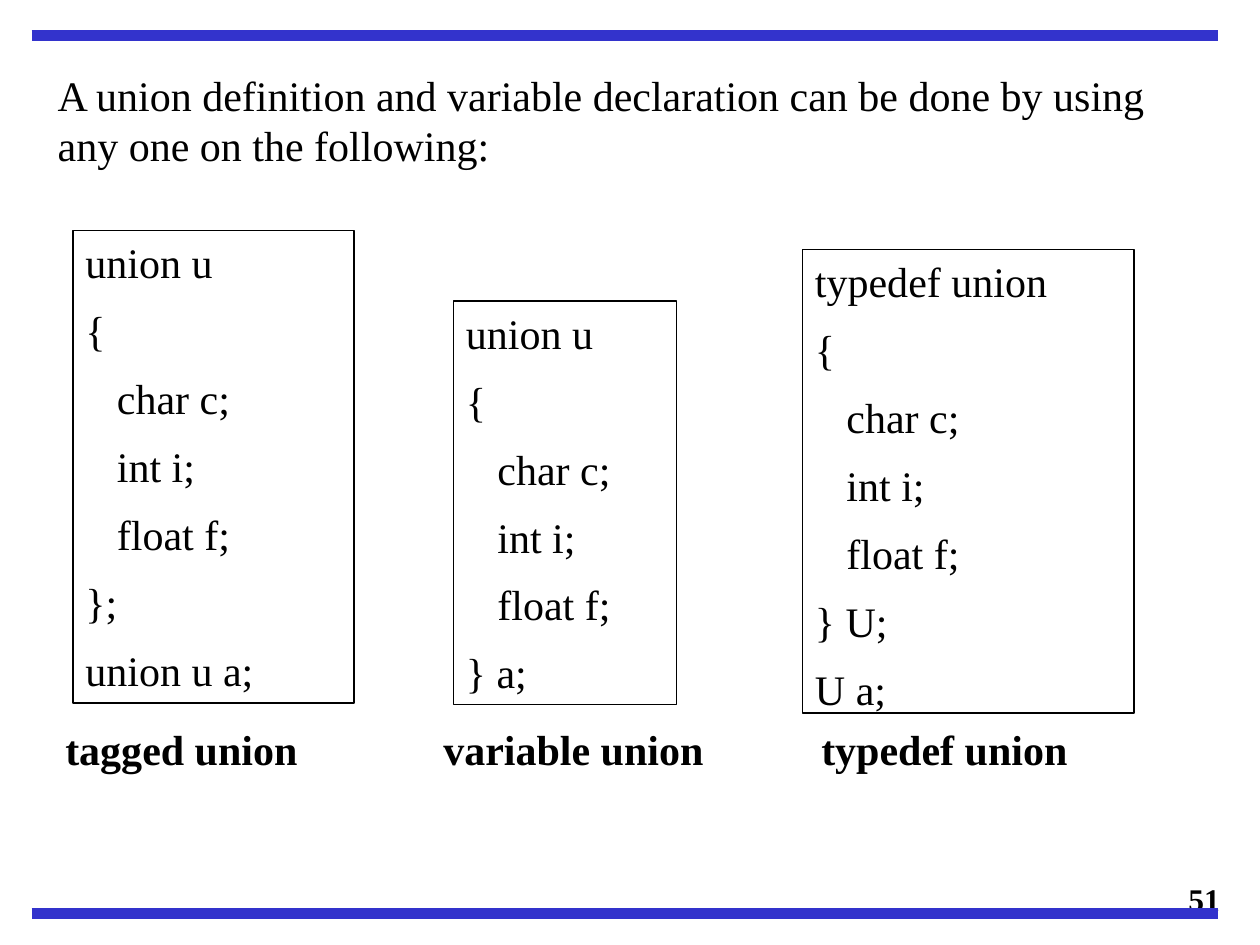
from lxml import etree
from pptx import Presentation
from pptx.dml.color import RGBColor
from pptx.enum.shapes import MSO_CONNECTOR, MSO_SHAPE
from pptx.enum.text import MSO_ANCHOR, MSO_AUTO_SIZE, PP_ALIGN
from pptx.oxml.ns import qn
from pptx.util import Inches, Pt

COLORS = {"text": "000000", "box": "FFFFFF", "bar": "3333CC"}
FONT = "Times New Roman"
INTRO = ["A union definition and variable declaration can be done by using",
         "any one on the following:"]
MEMBERS = ["char c;", "int i;", "float f;"]
DEFINITIONS = [
    ((0.58, 1.83, 2.23, 3.75), "union u", ["};", "union u a;"]),
    ((3.6, 2.39, 1.77, 3.2), "union u", ["} a;"]),
    ((6.37, 1.98, 2.63, 3.68), "typedef union", ["} U;", "U a;"]),
]
CAPTIONS = "tagged union\t\tvariable union\ttypedef union"
RULES = [
    ((0.42, 0.5, 0.42, 0.5), "text", 0.75),
    ((0.25, 7.25, 9.67, 7.25), "bar", 6),
    ((0.25, 0.28, 9.67, 0.28), "bar", 6),
]


def color(name):
    """Return the named colour."""
    return RGBColor.from_string(COLORS[name])


def write(frame, lines, size=24, bold=False, align=PP_ALIGN.LEFT, after=0):
    """Fill a text frame with uniformly formatted paragraphs."""
    frame.word_wrap = True
    frame.text = "\n".join(lines)
    for paragraph in frame.paragraphs:
        paragraph.alignment = align
        paragraph.space_after = Pt(after)
        paragraph.font.name = FONT
        paragraph.font.size = Pt(size)
        paragraph.font.bold = bold
        paragraph.font.color.rgb = color("text")


def add_text(slide, place, lines, **style):
    """Add a text box and return its frame."""
    frame = slide.shapes.add_textbox(*map(Inches, place)).text_frame
    write(frame, lines, **style)
    return frame


def add_rule(slide, ends, color_name, width):
    """Add a straight line without a shadow."""
    rule = slide.shapes.add_connector(MSO_CONNECTOR.STRAIGHT, *map(Inches, ends))
    rule.line.color.rgb = color(color_name)
    rule.line.width = Pt(width)
    etree.SubElement(rule._element.spPr, qn("a:effectLst"))


def add_definition(slide, place, opening, closing):
    """Add a framed union definition with indented members."""
    box = slide.shapes.add_shape(MSO_SHAPE.RECTANGLE, *map(Inches, place))
    box.shadow.inherit = False
    box.fill.solid()
    box.fill.fore_color.rgb = color("box")
    box.line.color.rgb = color("text")
    box.line.width = Pt(0.75)
    frame = box.text_frame
    write(frame, [opening, "{", *MEMBERS, *closing], after=10)
    frame.vertical_anchor = MSO_ANCHOR.TOP
    for paragraph in frame.paragraphs:
        if paragraph.text in MEMBERS:
            paragraph._p.get_or_add_pPr().set("marL", str(Inches(0.25)))


def set_inch_tabs(paragraph):
    """Put a left tab stop at every inch."""
    properties = paragraph._p.get_or_add_pPr()
    stops = etree.Element(qn("a:tabLst"))
    for inch in range(8):
        etree.SubElement(stops, qn("a:tab"), pos=str(Inches(inch)), algn="l")
    properties.find(qn("a:defRPr")).addprevious(stops)


def main():
    """Build the slide on union definitions."""
    deck = Presentation()
    deck.slide_width, deck.slide_height = Inches(10), Inches(7.5)
    slide = deck.slides.add_slide(deck.slide_layouts[6])

    page_number = add_text(slide, (7.7, 6.83, 2.08, 0.5), ["51"],
                           size=18, bold=True, align=PP_ALIGN.RIGHT)
    page_number.vertical_anchor = MSO_ANCHOR.BOTTOM
    for rule in RULES:
        add_rule(slide, *rule)
    for definition in DEFINITIONS:
        add_definition(slide, *definition)

    captions = add_text(slide, (0.42, 5.69, 9, 0.5), [CAPTIONS], bold=True)
    captions.auto_size = MSO_AUTO_SIZE.SHAPE_TO_FIT_TEXT
    set_inch_tabs(captions.paragraphs[0])

    intro = add_text(slide, (0.36, 0.5, 8.93, 0.9), INTRO, align=PP_ALIGN.JUSTIFY)
    intro.word_wrap = False
    intro.auto_size = MSO_AUTO_SIZE.SHAPE_TO_FIT_TEXT

    deck.save("out.pptx")


if __name__ == "__main__":
    main()
